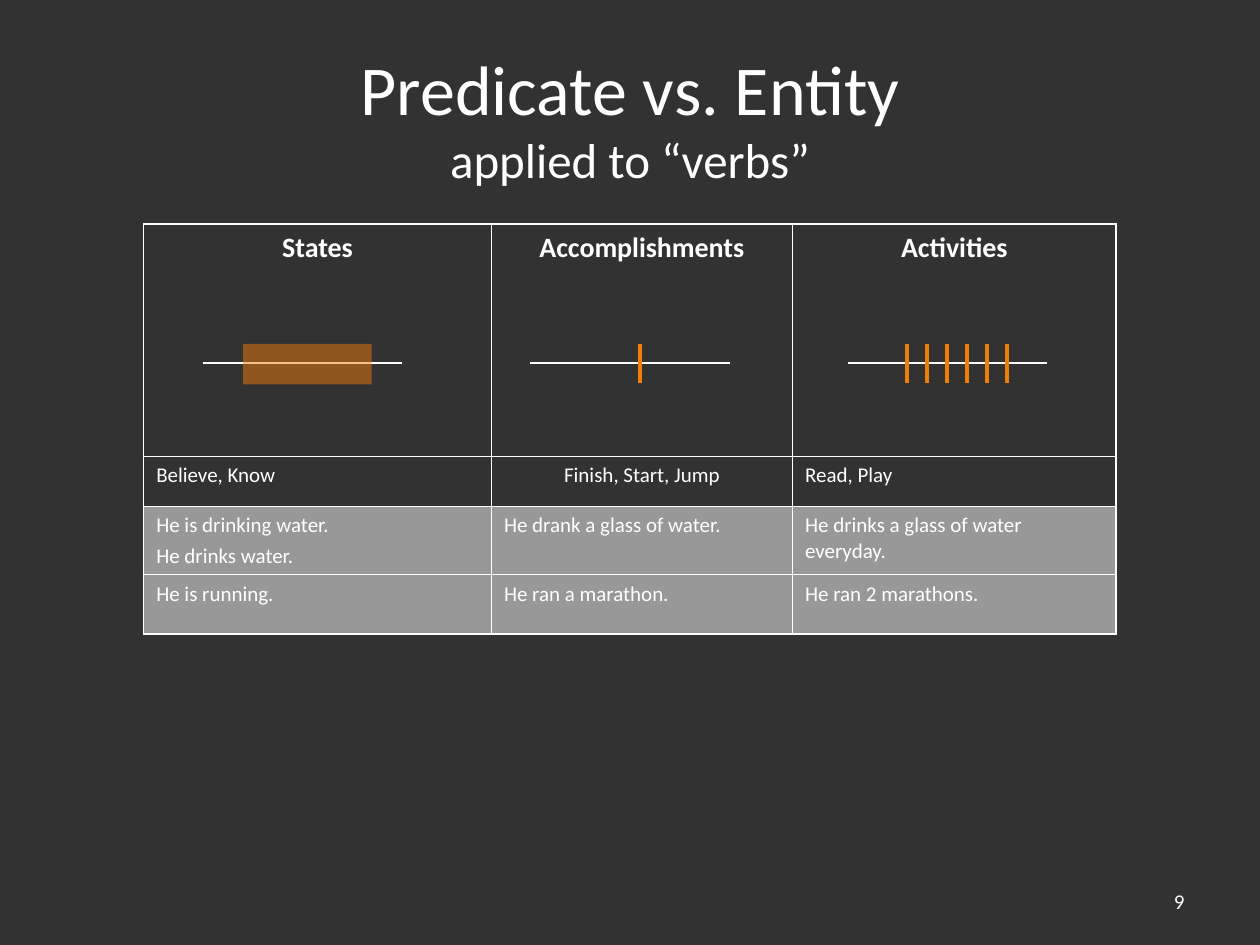
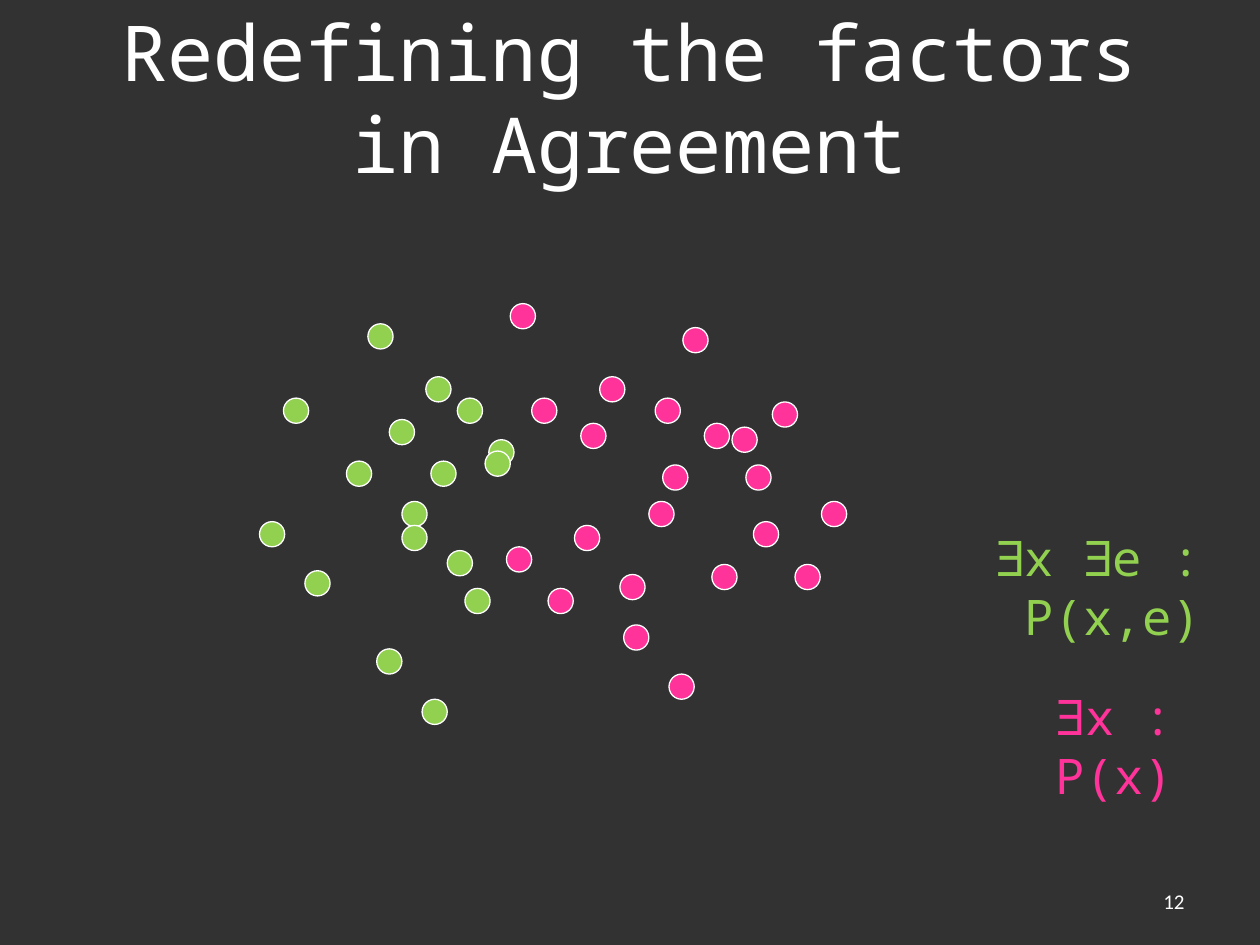
from dataclasses import dataclass

from lxml.etree import SubElement
from pptx import Presentation
from pptx.dml.color import RGBColor
from pptx.enum.shapes import MSO_CONNECTOR, MSO_SHAPE
from pptx.enum.text import MSO_ANCHOR, MSO_AUTO_SIZE, PP_ALIGN
from pptx.oxml import parse_xml
from pptx.oxml.ns import nsdecls, qn
from pptx.util import Inches, Pt

# Shared look
BACKGROUND = RGBColor(0x32, 0x32, 0x32)
WHITE = RGBColor(0xFF, 0xFF, 0xFF)
ORANGE = RGBColor(0xF0, 0x7F, 0x09)
GREEN = RGBColor(0x92, 0xD0, 0x50)
PINK = RGBColor(0xFF, 0x33, 0x99)
SANS = "Calibri"
MONO = "Noto Sans Mono"

# Verb class table
COLUMN_WIDTHS = (2.76, 2.39, 2.57)
ROW_HEIGHTS = (1.84, 0.4, 0.54, 0.47)
VERB_CLASSES = (
    ("States", "Accomplishments", "Activities"),
    ("Believe, Know", "Finish, Start, Jump", "Read, Play"),
    ("He is drinking water.\nHe drinks water.", "He drank a glass of water.",
     "He drinks a glass of water everyday."),
    ("He is running.", "He ran a marathon.", "He ran 2 marathons."),
)
OUTER_BORDER = Pt(1.08)
INNER_BORDER = Pt(0.45)

# Timelines
TIMELINE_LENGTH = 1.58
TIMELINE_Y = 2.88
MARK_TOP = 2.73
MARK_BOTTOM = 3.04

# Dots
DOT_SIZE = 0.2


@dataclass(frozen=True)
class Timeline:
    left: float
    first_tick: float
    tick_count: int
    tick_gap: float = 0.158


@dataclass(frozen=True)
class DotCloud:
    color: RGBColor
    corners: tuple[tuple[float, float], ...]


@dataclass(frozen=True)
class Formula:
    text: str
    left: float
    top: float
    width: float
    color: RGBColor


ACCOMPLISHMENT = Timeline(4.21, 5.08, 1)
ACTIVITY = Timeline(6.73, 7.2, 6)
STATE = Timeline(1.61, 0, 0)

DOT_CLOUDS = (
    DotCloud(GREEN, (
        (2.25, 3.16), (2.42, 4.53), (2.06, 4.14), (2.75, 3.66), (2.92, 2.57),
        (3.09, 3.33), (3.63, 3.16), (3.42, 3.66), (3.38, 2.99), (3.55, 4.37),
        (3.19, 3.98), (3.88, 3.49), (3.19, 4.17), (3.35, 5.55), (2.99, 5.15),
        (3.69, 4.67), (3.85, 3.58),
    )),
    DotCloud(PINK, (
        (4.05, 2.41), (4.22, 3.16), (4.76, 2.99), (4.61, 3.36), (4.02, 4.34),
        (4.35, 4.67), (5.2, 3.16), (4.92, 4.56), (4.56, 4.17), (5.26, 3.69),
        (5.42, 2.6), (5.59, 3.36), (6.13, 3.19), (5.92, 3.69), (5.15, 3.98),
        (5.31, 5.35), (4.95, 4.96), (5.65, 4.48), (5.81, 3.39), (5.98, 4.14),
        (6.52, 3.98), (6.31, 4.48),
    )),
)

FORMULAS = (
    Formula("∃x ∃e : P(x,e)", 7.11, 4.14, 2.52, GREEN),
    Formula("∃x : P(x)", 7.78, 5.4, 1.63, PINK),
)


def format_run(run, size: float, font: str, color: RGBColor, bold: bool) -> None:
    run.font.size = Pt(size)
    run.font.name = font
    run.font.color.rgb = color
    run.font.bold = bold


def write_text(frame, text: str, *, size: float, font: str = SANS,
               color: RGBColor = WHITE, bold: bool = False,
               align=PP_ALIGN.LEFT, space_before: float = 0) -> None:
    """Write one paragraph for each line of text."""
    for index, line in enumerate(text.split("\n")):
        paragraph = frame.add_paragraph() if index else frame.paragraphs[0]
        paragraph.alignment = align
        paragraph.space_before = Pt(space_before)
        run = paragraph.add_run()
        run.text = line
        format_run(run, size, font, color, bold)


def add_text_box(slide, text: str, left: float, top: float, width: float,
                 height: float, anchor=MSO_ANCHOR.TOP, **text_format) -> None:
    box = slide.shapes.add_textbox(Inches(left), Inches(top), Inches(width), Inches(height))
    box.text_frame.word_wrap = True
    box.text_frame.vertical_anchor = anchor
    write_text(box.text_frame, text, **text_format)


def add_titled_slide(presentation, title: str, number: int, *, size: float,
                     font: str, anchor):
    slide = presentation.slides.add_slide(presentation.slide_layouts[5])
    shape = slide.shapes.title
    shape.left, shape.top = Inches(0.5), Inches(0.3)
    shape.width, shape.height = Inches(9), Inches(1.25)
    frame = shape.text_frame
    frame.auto_size = MSO_AUTO_SIZE.NONE
    frame.vertical_anchor = anchor
    write_text(frame, title, size=size, font=font, align=PP_ALIGN.CENTER)
    add_text_box(slide, str(number), 7.17, 6.95, 2.33, 0.4,
                 anchor=MSO_ANCHOR.MIDDLE, size=12, align=PP_ALIGN.RIGHT)
    return slide


def add_line(shapes, start: tuple[float, float], end: tuple[float, float],
             color: RGBColor, width: float) -> None:
    line = shapes.add_connector(MSO_CONNECTOR.STRAIGHT,
                                *(Inches(value) for value in (*start, *end)))
    line.line.color.rgb = color
    line.line.width = Pt(width)
    SubElement(line.element.spPr, qn("a:effectLst"))


def add_filled_shape(slide, kind, left: float, top: float, width: float,
                     height: float, color: RGBColor):
    shape = slide.shapes.add_shape(kind, Inches(left), Inches(top),
                                   Inches(width), Inches(height))
    shape.shadow.inherit = False
    shape.fill.solid()
    shape.fill.fore_color.rgb = color
    return shape


def set_opacity(properties, percent: int) -> None:
    color = properties.find(qn("a:solidFill")).find(qn("a:srgbClr"))
    SubElement(color, qn("a:alpha"), val=str(percent * 1000))


def set_borders(cell_properties, row: int, column: int) -> None:
    on_edge = {
        "L": column == 0,
        "R": column == len(COLUMN_WIDTHS) - 1,
        "T": row == 0,
        "B": row == len(ROW_HEIGHTS) - 1,
    }
    for index, (side, is_outer) in enumerate(on_edge.items()):
        width = OUTER_BORDER if is_outer else INNER_BORDER
        cell_properties.insert(index, parse_xml(
            f'<a:ln{side} {nsdecls("a")} w="{int(width)}"><a:solidFill>'
            f'<a:srgbClr val="{WHITE}"/></a:solidFill></a:ln{side}>'))


def add_verb_table(slide) -> None:
    table = slide.shapes.add_table(
        len(ROW_HEIGHTS), len(COLUMN_WIDTHS), Inches(1.14), Inches(1.78),
        Inches(sum(COLUMN_WIDTHS)), Inches(sum(ROW_HEIGHTS))).table
    table.first_row = table.horz_banding = False
    for column, width in zip(table.columns, COLUMN_WIDTHS):
        column.width = Inches(width)
    for row_index, texts in enumerate(VERB_CLASSES):
        table.rows[row_index].height = Inches(ROW_HEIGHTS[row_index])
        is_header = row_index == 0
        for column_index, text in enumerate(texts):
            cell = table.cell(row_index, column_index)
            is_centered = is_header or (row_index, column_index) == (1, 1)
            write_text(cell.text_frame, text, size=16 if is_header else 12,
                       bold=is_header, space_before=4 if is_header else 3,
                       align=PP_ALIGN.CENTER if is_centered else PP_ALIGN.LEFT)
            properties = cell._tc.get_or_add_tcPr()
            if row_index < 2:
                cell.fill.background()
            else:
                cell.fill.solid()
                cell.fill.fore_color.rgb = WHITE
                set_opacity(properties, 50)
            set_borders(properties, row_index, column_index)


def add_timeline(slide, timeline: Timeline) -> None:
    add_line(slide.shapes, (timeline.left, TIMELINE_Y),
             (timeline.left + TIMELINE_LENGTH, TIMELINE_Y), WHITE, 0.75)
    shapes = slide.shapes
    if timeline.tick_count > 1:
        shapes = slide.shapes.add_group_shape().shapes
    for index in range(timeline.tick_count):
        x = timeline.first_tick + index * timeline.tick_gap
        add_line(shapes, (x, MARK_TOP), (x, MARK_BOTTOM), ORANGE, 2.25)


def build_verbs_slide(presentation) -> None:
    slide = add_titled_slide(presentation, "Predicate vs. Entity", 9, size=40,
                             font=SANS, anchor=MSO_ANCHOR.MIDDLE)
    # Subtitle on the second line of the title
    paragraph = slide.shapes.title.text_frame.paragraphs[0]
    paragraph.add_line_break()
    subtitle = paragraph.add_run()
    subtitle.text = "applied to “verbs”"
    format_run(subtitle, 28, SANS, WHITE, False)

    add_verb_table(slide)

    # A state lasts, so its mark is a block
    add_timeline(slide, STATE)
    duration = add_filled_shape(slide, MSO_SHAPE.RECTANGLE, 1.93, MARK_TOP,
                                1.02, 0.32, ORANGE)
    duration.line.fill.background()
    set_opacity(duration.element.spPr, 49)
    add_timeline(slide, ACCOMPLISHMENT)
    add_timeline(slide, ACTIVITY)


def build_agreement_slide(presentation) -> None:
    slide = add_titled_slide(presentation, "Redefining the factors in Agreement", 12,
                             size=44, font=MONO, anchor=MSO_ANCHOR.BOTTOM)
    # Dots
    for cloud in DOT_CLOUDS:
        for left, top in cloud.corners:
            dot = add_filled_shape(slide, MSO_SHAPE.OVAL, left, top,
                                   DOT_SIZE, DOT_SIZE, cloud.color)
            dot.line.color.rgb = WHITE
            dot.line.width = Pt(0.75)
    # Formulas
    for formula in FORMULAS:
        add_text_box(slide, formula.text, formula.left, formula.top, formula.width,
                     0.57, size=28, font=MONO, color=formula.color,
                     align=PP_ALIGN.RIGHT)


def main() -> None:
    presentation = Presentation()
    presentation.slide_width, presentation.slide_height = Inches(10), Inches(7.5)
    background = presentation.slide_master.background.fill
    background.solid()
    background.fore_color.rgb = BACKGROUND
    build_verbs_slide(presentation)
    build_agreement_slide(presentation)
    presentation.save("out.pptx")


if __name__ == "__main__":
    main()
